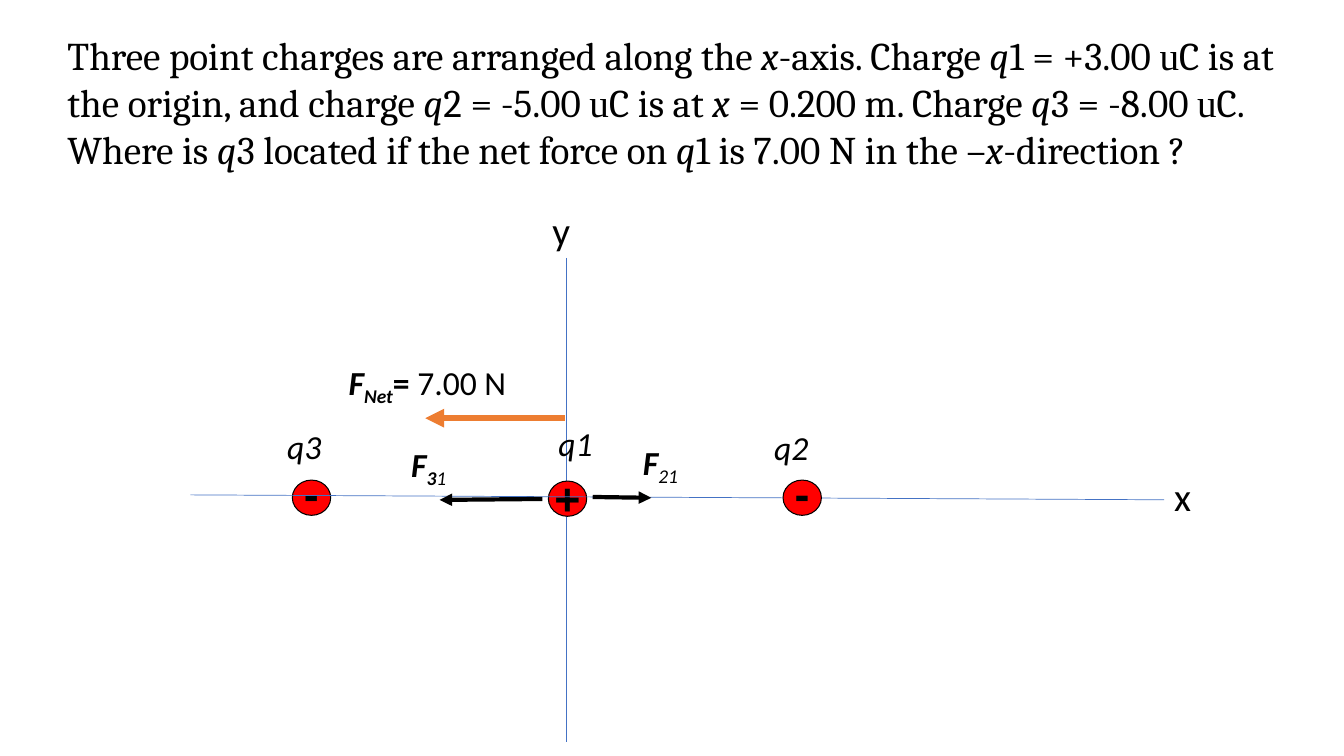
from dataclasses import dataclass
from typing import NamedTuple

from lxml import etree
from pptx import Presentation
from pptx.dml.color import RGBColor
from pptx.enum import shapes, text
from pptx.oxml import ns
from pptx.util import Pt


@dataclass(frozen=True)
class Theme:
    ink: RGBColor = RGBColor(0, 0, 0)
    axis: RGBColor = RGBColor(0x44, 0x72, 0xC4)
    net: RGBColor = RGBColor(0xED, 0x7D, 0x31)
    ball: RGBColor = RGBColor(0xFF, 0, 0)
    prose: str = "Cambria"
    unit: str = "Times New Roman"
    label: str = "Calibri"
    sign: str = "Arial"
    big: float = 32
    mid: float = 28
    small: float = 24


class Bit(NamedTuple):
    """A run; marks are b bold, i italic, s subscript, u unit font."""
    words: str
    marks: str = ""


class Charge(NamedTuple):
    name: str
    sign: str
    x: float
    y: float
    lift: float
    tag_x: float
    tag_y: float


class Label(NamedTuple):
    bits: list[Bit]
    x: float
    y: float
    wide: float
    size: float


class Line(NamedTuple):
    x1: float
    y1: float
    x2: float
    y2: float
    color: RGBColor
    weight: float
    arrow: bool = False


THEME = Theme()
BALL_W, BALL_H = 27.4, 25.2
SIGN_W, SIGN_H = 30, 46
TAG_W = 42.5

TITLE = [
    Bit("Three point charges are arranged along the "), Bit("x", "i"),
    Bit("-axis. Charge "), Bit("q", "i"), Bit("1 = +3.00 "), Bit("u", "u"),
    Bit("C is at the origin, and charge "), Bit("q", "i"),
    Bit("2 = -5.00 "), Bit("u", "u"), Bit("C is at "), Bit("x ", "i"),
    Bit("= 0.200 m. Charge "), Bit("q", "i"), Bit("3 = -8.00 "),
    Bit("u", "u"), Bit("C. Where is "), Bit("q", "i"),
    Bit("3 located if the net force on "), Bit("q", "i"),
    Bit("1 is 7.00 N in the –"), Bit("x", "i"), Bit("-direction ?"),
]
Y_AXIS = Line(404.8, 184.3, 404.8, 529.8, THEME.axis, 0.5)
X_AXIS = Line(136, 353.5, 831.6, 357, THEME.axis, 0.5)
FORCES = [
    Line(403.4, 298.7, 303.8, 298.7, THEME.net, 4.5, True),
    Line(423.4, 355, 465.2, 355.6, THEME.ink, 3, True),
    Line(387.4, 356.4, 314, 357.1, THEME.ink, 3, True),
]
Q1 = Charge("q1", "+", 405.4, 356.2, 20, 391.7, 298.8)
Q2 = Charge("q2", "-", 573, 355.5, 23, 545.8, 301.7)
Q3 = Charge("q3", "-", 222.5, 355.5, 23, 198, 301)
LABELS = [
    Label([Bit("x")], 831.6, 334, 31.7, THEME.mid),
    Label([Bit("y")], 387.4, 144, 31.7, THEME.mid),
    Label([Bit("F", "bi"), Bit("21", "is")], 452.2, 311.8, 88.6, THEME.small),
    Label([Bit("F", "bi"), Bit("Net", "bis"), Bit("= ", "b"),
           Bit("7.00 N")], 241.9, 254.9, 195, THEME.small),
    Label([Bit("F", "bi"), Bit("3", "bis"), Bit("1", "is")],
          286.6, 313.2, 88.6, THEME.small),
]


def write(para, bits: list[Bit], face: str, size: float) -> None:
    for bit in bits:
        run = para.add_run()
        run.text = bit.words
        font = run.font
        font.name = THEME.unit if "u" in bit.marks else face
        font.size = Pt(size)
        font.bold = "b" in bit.marks
        font.italic = "i" in bit.marks
        font.color.rgb = THEME.ink
        if "s" in bit.marks:
            run._r.get_or_add_rPr().set("baseline", "-25000")


def add_text(slide, x: float, y: float, wide: float, high: float,
             bits: list[Bit], face: str, size: float):
    frame = slide.shapes.add_textbox(
        Pt(x), Pt(y), Pt(wide), Pt(high)).text_frame
    frame.word_wrap = True
    write(frame.paragraphs[0], bits, face, size)
    return frame


def add_label(slide, label: Label) -> None:
    add_text(slide, label.x, label.y, label.wide, label.size * 1.2 + 7.2,
             label.bits, THEME.label, label.size)


def add_line(slide, line: Line) -> None:
    link = slide.shapes.add_connector(
        shapes.MSO_CONNECTOR.STRAIGHT,
        Pt(line.x1), Pt(line.y1), Pt(line.x2), Pt(line.y2))
    link.line.color.rgb = line.color
    link.line.width = Pt(line.weight)
    if line.arrow:
        tail = etree.SubElement(link.line._get_or_add_ln(), ns.qn("a:tailEnd"))
        tail.set("type", "triangle")
    etree.SubElement(link._element.spPr, ns.qn("a:effectLst"))


def add_charge(slide, charge: Charge) -> None:
    """Draw the ball, the sign on it and the name above it."""
    ball = slide.shapes.add_shape(
        shapes.MSO_SHAPE.OVAL, Pt(charge.x - BALL_W / 2),
        Pt(charge.y - BALL_H / 2), Pt(BALL_W), Pt(BALL_H))
    ball.shadow.inherit = False
    ball.fill.solid()
    ball.fill.fore_color.rgb = THEME.ball
    ball.line.color.rgb = THEME.ink
    ball.line.width = Pt(0.75)
    frame = add_text(slide, charge.x - SIGN_W / 2, charge.y - charge.lift - 3.6,
                     SIGN_W, SIGN_H, [Bit(charge.sign, "b")],
                     THEME.sign, THEME.big)
    frame.margin_left = frame.margin_right = 0
    frame.paragraphs[0].alignment = text.PP_ALIGN.CENTER
    add_label(slide, Label([Bit(charge.name, "i")], charge.tag_x,
                           charge.tag_y, TAG_W, THEME.small))


def set_title(slide) -> None:
    title = slide.shapes.title
    title.left, title.top = Pt(41), Pt(18.7)
    title.width, title.height = Pt(905), Pt(108.7)
    frame = title.text_frame
    frame.word_wrap = True
    frame.auto_size = text.MSO_AUTO_SIZE.NONE
    frame.vertical_anchor = text.MSO_ANCHOR.TOP
    para = frame.paragraphs[0]
    para.alignment = text.PP_ALIGN.LEFT
    para.line_spacing = 1.0
    write(para, TITLE, THEME.prose, THEME.mid)


def main() -> None:
    deck = Presentation()
    deck.slide_width, deck.slide_height = Pt(960), Pt(540)
    slide = deck.slides.add_slide(deck.slide_layouts[5])
    set_title(slide)
    add_line(slide, Y_AXIS)
    for charge in (Q1, Q3):
        add_charge(slide, charge)
    add_line(slide, X_AXIS)
    add_charge(slide, Q2)
    for force in FORCES:
        add_line(slide, force)
    for label in LABELS:
        add_label(slide, label)
    deck.save("out.pptx")


if __name__ == "__main__":
    main()
